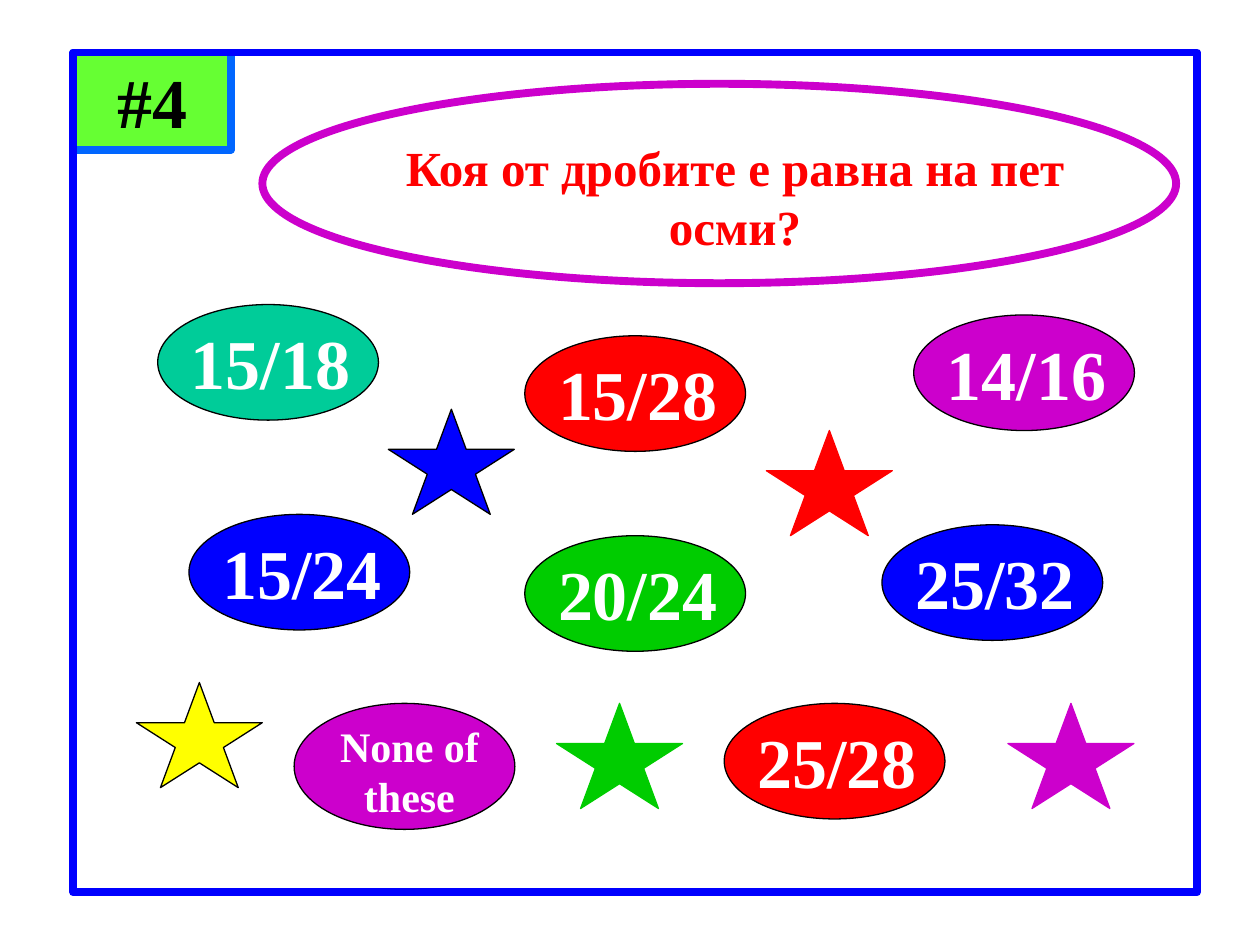
from dataclasses import dataclass

from pptx import Presentation
from pptx.dml.color import RGBColor
from pptx.enum.shapes import MSO_SHAPE
from pptx.enum.text import MSO_ANCHOR, MSO_AUTO_SIZE, PP_ALIGN
from pptx.util import Cm, Pt

FONT = "Times New Roman"
BLACK = RGBColor(0x00, 0x00, 0x00)
WHITE = RGBColor(0xFF, 0xFF, 0xFF)
RED = RGBColor(0xFF, 0x00, 0x00)
BLUE = RGBColor(0x00, 0x00, 0xFF)
GREEN = RGBColor(0x00, 0xCC, 0x00)
PURPLE = RGBColor(0xCC, 0x00, 0xCC)
TEAL = RGBColor(0x00, 0xCC, 0x99)
YELLOW = RGBColor(0xFF, 0xFF, 0x00)
LIME = RGBColor(0x66, 0xFF, 0x33)
SKY = RGBColor(0x00, 0x66, 0xFF)

THICK, THIN = 4.5, 0.75
OVAL_WIDTH = 4.45
STAR_WIDTH, STAR_HEIGHT = 2.54, 2.12


@dataclass
class Answer:
    """One answer oval; lengths in cm, label offsets from its corner."""
    text: str
    left: float
    top: float
    color: RGBColor
    label_width: float = 4.02
    height: float = 2.33
    dx: float = 0.42
    dy: float = 0.18
    label_height: float = 1.96
    size: int = 40
    align: PP_ALIGN = PP_ALIGN.LEFT


@dataclass
class Star:
    left: float
    top: float
    color: RGBColor
    outline: RGBColor


ANSWERS = [
    Answer("15/18", 3.18, 6.14, TEAL, label_width=3.81),
    Answer("15/28", 10.58, 6.77, RED),
    Answer("14/16", 18.42, 6.35, PURPLE, label_width=4.23),
    Answer("15/24", 3.81, 10.37, BLUE),
    Answer("20/24", 10.58, 10.8, GREEN, label_width=4.23),
    Answer("25/32", 17.78, 10.58, BLUE, label_width=3.81),
    Answer("None of these", 5.93, 14.18, PURPLE, label_width=3.39, height=2.54,
           dx=0.63, dy=0.21, label_height=2.31, size=24, align=PP_ALIGN.CENTER),
    Answer("25/28", 14.6, 14.18, RED, label_width=4.23),
]

STARS = [
    Star(7.83, 8.25, BLUE, BLACK),
    Star(2.75, 13.76, YELLOW, BLACK),
    Star(11.22, 14.18, GREEN, GREEN),
    Star(15.45, 8.68, RED, RED),
    Star(20.32, 14.18, PURPLE, PURPLE),
]


def write(holder, text: str, *, size: int, color: RGBColor,
          align: PP_ALIGN = PP_ALIGN.CENTER) -> None:
    frame = holder.text_frame
    frame.word_wrap = True
    frame.auto_size = MSO_AUTO_SIZE.NONE
    frame.vertical_anchor = MSO_ANCHOR.TOP
    frame.text = text
    paragraph = frame.paragraphs[0]
    paragraph.alignment = align
    font = paragraph.runs[0].font
    font.name, font.size, font.bold = FONT, Pt(size), True
    font.color.rgb = color


def draw(slide, kind: MSO_SHAPE, left: float, top: float, width: float, height: float,
         *, outline: RGBColor, weight: float, fill: RGBColor | None = None):
    shape = slide.shapes.add_shape(kind, Cm(left), Cm(top), Cm(width), Cm(height))
    shape.shadow.inherit = False
    if fill is None:
        shape.fill.background()
    else:
        shape.fill.solid()
        shape.fill.fore_color.rgb = fill
    shape.line.color.rgb = outline
    shape.line.width = Pt(weight)
    return shape


def draw_answer(slide, answer: Answer) -> None:
    draw(slide, MSO_SHAPE.OVAL, answer.left, answer.top, OVAL_WIDTH, answer.height,
         outline=BLACK, weight=THIN, fill=answer.color)
    label = slide.shapes.add_textbox(
        Cm(answer.left + answer.dx), Cm(answer.top + answer.dy),
        Cm(answer.label_width), Cm(answer.label_height))
    write(label, answer.text, size=answer.size, color=WHITE, align=answer.align)


def draw_star(slide, star: Star) -> None:
    draw(slide, MSO_SHAPE.STAR_5_POINT, star.left, star.top, STAR_WIDTH, STAR_HEIGHT,
         outline=star.outline, weight=THIN, fill=star.color)


def main() -> None:
    deck = Presentation()
    deck.slide_width, deck.slide_height = Cm(25.4), Cm(19.05)
    slide = deck.slides.add_slide(deck.slide_layouts[5])

    # Question number, page frame and question outline
    badge = draw(slide, MSO_SHAPE.RECTANGLE, 1.48, 1.06, 3.18, 1.96,
                 outline=SKY, weight=THICK, fill=LIME)
    write(badge, "#4", size=40, color=BLACK)
    draw(slide, MSO_SHAPE.RECTANGLE, 1.48, 1.06, 22.65, 16.93, outline=BLUE, weight=THICK)
    draw(slide, MSO_SHAPE.OVAL, 5.29, 1.69, 18.42, 4.02, outline=PURPLE, weight=THICK)

    # Question
    question = slide.shapes.title
    question.left, question.top = Cm(6.56), Cm(2.65)
    question.width, question.height = Cm(16.51), Cm(2.65)
    write(question, "Коя от дробите е равна на пет осми?", size=28, color=RED)

    # Answers and decoration
    for answer in ANSWERS:
        draw_answer(slide, answer)
    for star in STARS:
        draw_star(slide, star)

    deck.save("out.pptx")


if __name__ == "__main__":
    main()
